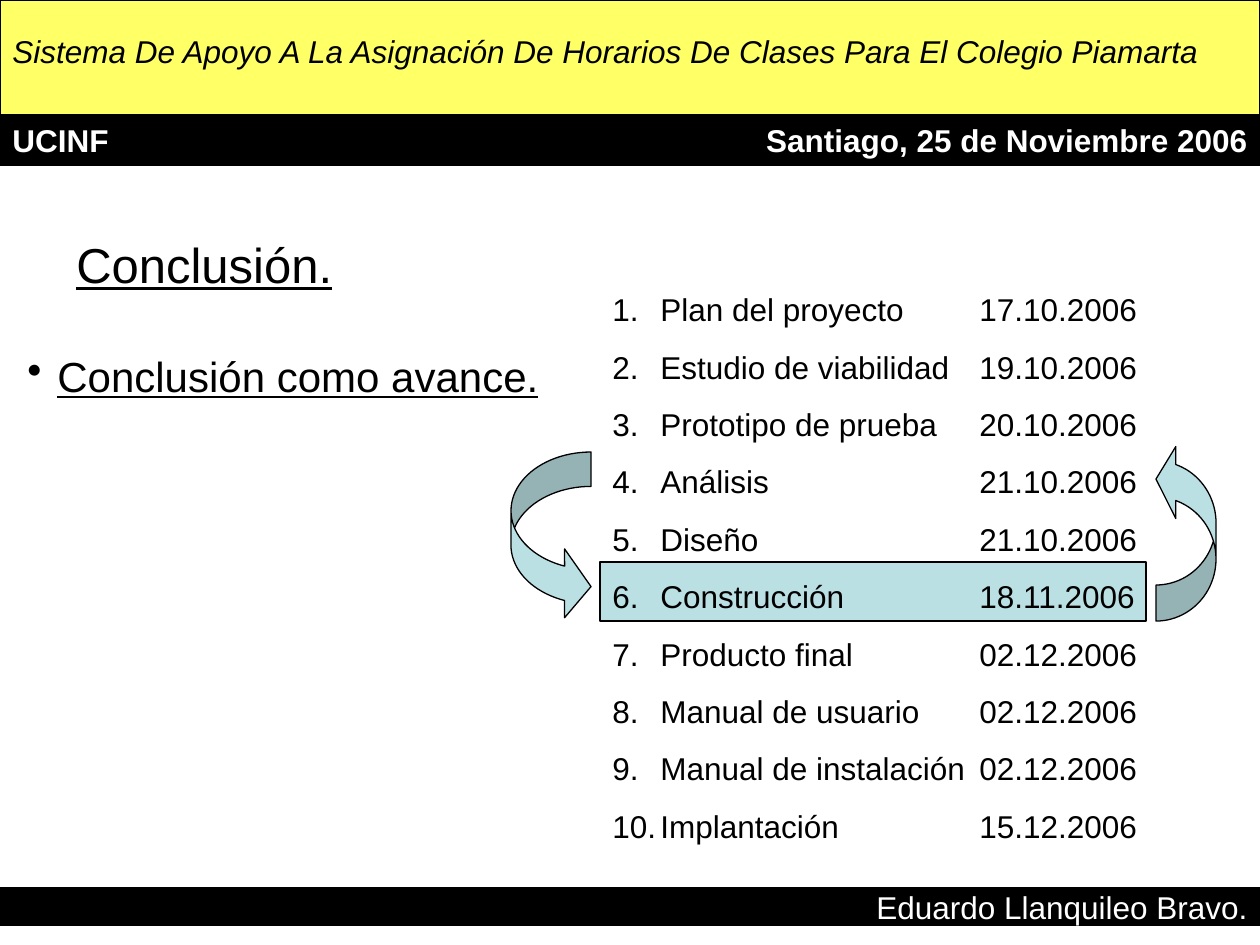
import pptx
import pptx.util
import pptx.dml.color
import pptx.enum.shapes
import pptx.enum.text
import pptx.oxml.ns
import lxml.etree
from dataclasses import dataclass

SCALE = 914400 / 126  # EMU in one px
SHAPE = pptx.enum.shapes.MSO_SHAPE
ALIGN = pptx.enum.text.PP_ALIGN
ANCHOR = pptx.enum.text.MSO_ANCHOR


@dataclass(frozen=True)
class Theme:
    font: str = "Arial"
    black: str = "000000"
    white: str = "FFFFFF"
    yellow: str = "FFFF66"
    aqua: str = "BBE0E3"
    title: int = 28
    point: int = 24
    body: int = 18
    line: float = 0.75
    gap: float = 11.2


THEME = Theme()

STEPS = [
    ("Plan del proyecto", "17.10.2006"),
    ("Estudio de viabilidad", "19.10.2006"),
    ("Prototipo de prueba", "20.10.2006"),
    ("Análisis", "21.10.2006"),
    ("Diseño", "21.10.2006"),
    ("Construcción", "18.11.2006"),
    ("Producto final", "02.12.2006"),
    ("Manual de usuario", "02.12.2006"),
    ("Manual de instalación", "02.12.2006"),
    ("Implantación", "15.12.2006"),
]


def px(n):
    return pptx.util.Emu(round(n * SCALE))


def color(code):
    return pptx.dml.color.RGBColor.from_string(code)


def add_mark(para, tag, indent, **attrs):
    """Give a paragraph a hanging bullet or number."""
    props = para._p.get_or_add_pPr()
    props.set("marL", str(px(indent)))
    props.set("indent", str(-px(indent)))
    lxml.etree.SubElement(props, pptx.oxml.ns.qn("a:" + tag), attrs)


def add_text(slide, text, box, size=THEME.body, ink=THEME.black, bold=False,
             italic=False, under=False, align=ALIGN.LEFT, anchor=ANCHOR.TOP,
             mark=None):
    """Write one paragraph for each line of text."""
    frame = slide.shapes.add_textbox(*map(px, box)).text_frame
    frame.word_wrap = True
    frame.vertical_anchor = anchor
    frame.text = text
    for row, para in enumerate(frame.paragraphs):
        para.alignment = align
        if row:
            para.space_before = pptx.util.Pt(THEME.gap)
        if mark:
            add_mark(para, **mark)
        font = para.runs[0].font
        font.name = THEME.font
        font.size = pptx.util.Pt(size)
        font.bold, font.italic, font.underline = bold, italic, under
        font.color.rgb = color(ink)


def add_shape(slide, kind, box, fill):
    shape = slide.shapes.add_shape(kind, *map(px, box))
    shape.shadow.inherit = False
    shape.fill.solid()
    shape.fill.fore_color.rgb = color(fill)
    shape.line.color.rgb = color(THEME.black)
    shape.line.width = pptx.util.Pt(THEME.line)
    return shape


def add_arrow(slide, box, band, head, tip, turn=0):
    """Draw a curved arrow; its parts are shares of its width."""
    arrow = add_shape(slide, SHAPE.CURVED_RIGHT_ARROW, box, THEME.aqua)
    for index, share in enumerate((band, head, tip)):
        arrow.adjustments[index] = share
    arrow.rotation = turn


def add_bars(slide):
    """Header, date bar and footer."""
    add_shape(slide, SHAPE.RECTANGLE, (0, 0, 1260, 115), THEME.yellow)
    add_shape(slide, SHAPE.RECTANGLE, (0, 115, 1260, 50), THEME.black)
    add_shape(slide, SHAPE.RECTANGLE, (0, 888, 1260, 37), THEME.black)
    add_text(slide, "Sistema De Apoyo A La Asignación De Horarios De Clases "
             "Para El Colegio Piamarta", (0, 26, 1260, 50), italic=True)
    add_text(slide, "UCINF", (0, 115, 561, 50), ink=THEME.white, bold=True)
    add_text(slide, "Santiago, 25 de Noviembre 2006", (699, 115, 561, 50),
             ink=THEME.white, bold=True, align=ALIGN.RIGHT)
    add_text(slide, "Eduardo Llanquileo Bravo.", (591, 882, 669, 50),
             ink=THEME.white, align=ALIGN.RIGHT)


def add_plan(slide):
    """Numbered steps, their dates and the current step."""
    add_shape(slide, SHAPE.RECTANGLE, (600, 562, 546, 59), THEME.aqua)
    names, dates = map("\n".join, zip(*STEPS))
    add_text(slide, names, (600, 284, 407, 568),
             mark=dict(tag="buAutoNum", indent=48, type="arabicPeriod"))
    add_text(slide, dates, (967, 284, 208, 568))


def main():
    deck = pptx.Presentation()
    deck.slide_width, deck.slide_height = px(1260), px(945)
    slide = deck.slides.add_slide(deck.slide_layouts[6])

    add_bars(slide)

    # Title and point
    add_text(slide, "Conclusión.", (64, 234, 1196, 60), size=THEME.title,
             under=True, anchor=ANCHOR.MIDDLE)
    add_text(slide, "Conclusión como avance.", (15, 344, 694, 140),
             size=THEME.point, under=True,
             mark=dict(tag="buChar", indent=30, char="•"))

    add_plan(slide)

    # Cycle arrows
    add_arrow(slide, (511, 452, 80, 169), band=0.43, head=0.86, tip=0.33)
    add_arrow(slide, (1156, 443, 60, 178), band=0.6, head=1.2, tip=0.33,
              turn=180)

    deck.save("out.pptx")


if __name__ == "__main__":
    main()
